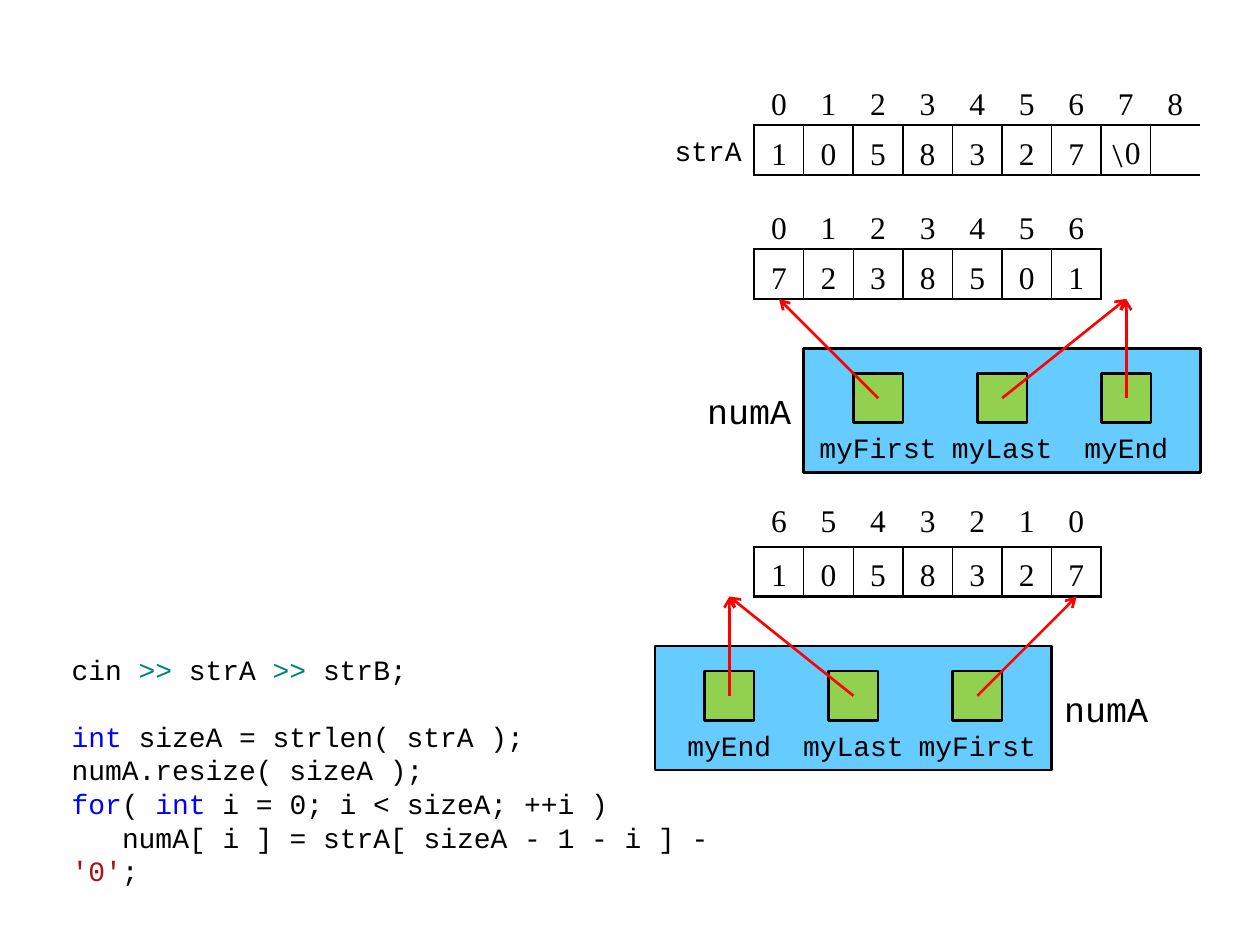
import pptx
import pptx.chart.data
import pptx.dml.color
import pptx.enum.shapes
import pptx.enum.text
import pptx.oxml
import pptx.oxml.ns
import pptx.util
from lxml import etree

Inches = pptx.util.Inches
Pt = pptx.util.Pt
ALIGN = pptx.enum.text.PP_ALIGN
ANCHOR = pptx.enum.text.MSO_ANCHOR
SHAPES = pptx.enum.shapes.MSO_SHAPE
qn = pptx.oxml.ns.qn

CELL = 1 / 2.54
GRID_LEFT, GRID_TOP = 0.08, 0.01
MONO, SERIF = "Courier New", "Times New Roman"
BLACK, BLUE, TEAL, BROWN = "000000", "0000FF", "008080", "A31515"
PANEL_BLUE, SLOT_GREEN, ARROW_RED = "66CCFF", "92D050", "FF0000"
NO_STYLE = "{2D5ABB26-0587-4C30-8999-92F81FD0307C}"


def color(value):
    return pptx.dml.color.RGBColor.from_string(value)


def grid_point(column, row):
    return GRID_LEFT + column * CELL, GRID_TOP + row * CELL


def apply_format(target, values):
    for name, value in values.items():
        setattr(target, name, value)


def margins(horizontal, vertical):
    return {"margin_left": Inches(horizontal), "margin_right": Inches(horizontal),
            "margin_top": Inches(vertical), "margin_bottom": Inches(vertical)}


def add_run(paragraph, text, size, font=MONO, fill=BLACK):
    run = paragraph.add_run()
    run.text = text
    apply_format(run.font, {"size": Pt(size), "name": font, "bold": False})
    run.font.color.rgb = color(fill)


def add_label(slide, box, text, size, alignment):
    label = slide.shapes.add_textbox(*map(Inches, box))
    apply_format(label.text_frame, {"word_wrap": True, "vertical_anchor": ANCHOR.MIDDLE,
                                    **margins(0.1, 0.05)})
    paragraph = label.text_frame.paragraphs[0]
    paragraph.alignment = alignment
    add_run(paragraph, text, size)


def add_box(slide, preset, box, fill):
    shape = slide.shapes.add_shape(preset, *map(Inches, box))
    shape.shadow.inherit = False
    shape.fill.solid()
    shape.fill.fore_color.rgb = color(fill)
    shape.line.color.rgb = color(BLACK)
    shape.line.width = Pt(1.5)


def add_arrow(slide, start, end):
    arrow = slide.shapes.add_connector(pptx.enum.shapes.MSO_CONNECTOR.STRAIGHT,
                                       *map(Inches, start + end))
    arrow.line.color.rgb = color(ARROW_RED)
    arrow.line.width = Pt(1.5)
    etree.SubElement(arrow.line._get_or_add_ln(), qn("a:tailEnd"), type="arrow")
    etree.SubElement(arrow._element.spPr, qn("a:effectLst"))


def set_borders(cell, widths):
    properties = cell._tc.get_or_add_tcPr()
    for side in "LRTB":
        if widths.get(side):
            line = etree.SubElement(properties, qn(f"a:ln{side}"), w=str(Pt(widths[side])))
            fill = etree.SubElement(line, qn("a:solidFill"))
            etree.SubElement(fill, qn("a:srgbClr"), val=BLACK)


def fill_cell(cell, runs, alignment=ALIGN.CENTER, spacing=1.25, inset=(0, 0)):
    apply_format(cell, {"vertical_anchor": ANCHOR.MIDDLE, **margins(*inset)})
    paragraph = cell.text_frame.paragraphs[0]
    apply_format(paragraph, {"alignment": alignment, "line_spacing": spacing})
    for run in runs:
        add_run(paragraph, *run)


def add_array(slide, left, top, indexes, values, right_width, name=None, index_spacing=1.25):
    lead = 1 if name else 0
    columns = len(indexes) + lead
    width = (len(indexes) + 2 * lead) * CELL
    frame = slide.shapes.add_table(2, columns, *map(Inches, (left, top, width, 2 * CELL)))
    table = frame.table
    apply_format(table, {"first_row": False, "horz_banding": False})
    table._tbl.tblPr.find(qn("a:tableStyleId")).text = NO_STYLE
    for column in table.columns:
        column.width = Inches(CELL)
    if name:
        table.columns[0].width = Inches(2 * CELL)
        fill_cell(table.cell(0, 0), [])
        fill_cell(table.cell(1, 0), [(name, 16)], ALIGN.RIGHT, inset=(0.1, 0.02))
    for position, (index, value) in enumerate(zip(indexes, values)):
        index_cell = table.cell(0, position + lead)
        value_cell = table.cell(1, position + lead)
        fill_cell(index_cell, [(index, 18, SERIF)], spacing=index_spacing)
        runs = [(mark, 16, "Cambria") if mark == "\\" else (mark, 18, SERIF) for mark in value]
        fill_cell(value_cell, runs)
        last = position == len(indexes) - 1
        set_borders(value_cell, {"L": 1 if position else 1.5, "R": right_width if last else 1,
                                 "T": 1.5, "B": 1.5})
    for cell in table.iter_cells():
        cell.fill.background()


def add_vector(slide, left, top, members, targets, name_offset, name_alignment):
    add_label(slide, (left + name_offset * CELL, top + CELL / 2, 2.5 * CELL, 1.5 * CELL),
              "numA", 20, name_alignment)
    add_box(slide, SHAPES.FLOWCHART_PROCESS, (left, top, 8 * CELL, 2.5 * CELL), PANEL_BLUE)
    member_lefts = [left + 2.5 * CELL * number for number in range(len(members))]
    for member, member_left in zip(members, member_lefts):
        add_box(slide, SHAPES.RECTANGLE,
                (member_left + CELL, top + CELL / 2, CELL, CELL), SLOT_GREEN)
        add_label(slide, (member_left, top + 1.5 * CELL, 3 * CELL, CELL),
                  member, 16, ALIGN.CENTER)
    for member_left, target in zip(member_lefts, targets):
        add_arrow(slide, (member_left + 1.5 * CELL, top + CELL),
                  (left + target * CELL, top - CELL))


def add_code(slide, left, top, width, height):
    lines = [
        ([("cin ", BLACK), (">> ", TEAL), ("strA ", BLACK), (">> ", TEAL), ("strB;", BLACK)], 0, 0),
        ([("int ", BLUE), ("sizeA = strlen( strA );", BLACK)], 19, 0),
        ([("numA.resize( sizeA );", BLACK)], 0, 0),
        ([("for", BLUE), ("( ", BLACK), ("int", BLUE), (" i = 0; i < sizeA; ++i )", BLACK)], 0, 0),
        ([("numA[ i ] = strA[ sizeA - 1 - i ] - ", BLACK), ("'0'", BROWN), (";", BLACK)], 0, 0.4),
    ]
    code = slide.shapes.add_textbox(*map(Inches, (left, top, width, height)))
    frame = code.text_frame
    apply_format(frame, {"word_wrap": True, **margins(0.1, 0.05)})
    for number, (runs, gap, indent) in enumerate(lines):
        paragraph = frame.add_paragraph() if number else frame.paragraphs[0]
        apply_format(paragraph, {"space_before": Pt(gap), "line_spacing": Pt(19.2)})
        if indent:
            paragraph._p.get_or_add_pPr().set("indent", str(Inches(indent)))
        for text, fill in runs:
            add_run(paragraph, text, 16, fill=fill)


def main():
    presentation = pptx.Presentation()
    apply_format(presentation, {"slide_width": Inches(10), "slide_height": Inches(7.5)})
    slide = presentation.slides.add_slide(presentation.slide_layouts[6])
    add_array(slide, *grid_point(15, 10), "6543210", "1058327", 1.5, index_spacing=1)
    add_array(slide, *grid_point(15, 4), "0123456", "7238501", 1)
    add_code(slide, 0.47, 5.13, 5.91, 1.77)
    add_vector(slide, *grid_point(16, 7), ["myFirst", "myLast", "myEnd"],
               [-0.5, 6.5, 6.5], -2.5, ALIGN.RIGHT)
    add_vector(slide, *grid_point(13, 13), ["myEnd", "myLast", "myFirst"],
               [1.5, 1.5, 8.5], 8, ALIGN.LEFT)
    add_array(slide, *grid_point(13, 1.5), "012345678", [*"1058327", "\\0", ""], 0, name="strA")
    presentation.save("out.pptx")


if __name__ == "__main__":
    main()
